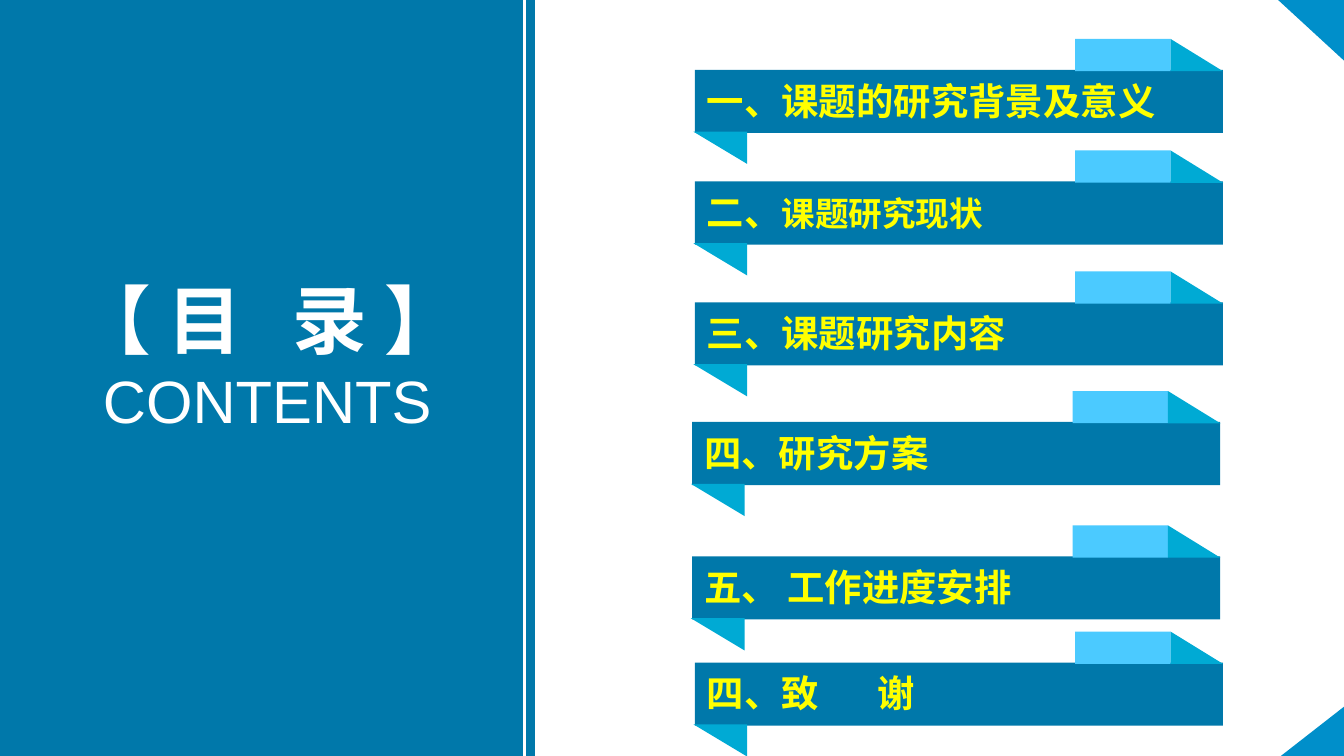
from pptx import Presentation
from pptx.dml.color import RGBColor
from pptx.enum import shapes, text
from pptx.util import Inches, Pt
from lxml import etree

BLUE, SKY, TEAL, CORNER = "0078AA", "4BCAFF", "00AAD4", "008FCA"
WHITE, YELLOW = "FFFFFF", "FFFF00"
RECT, TRIANGLE = shapes.MSO_SHAPE.RECTANGLE, shapes.MSO_SHAPE.RIGHT_TRIANGLE

# Runs are (text, size, extra letter spacing), all in points
HEADING = [("【 目", 40, 0), (" ", 40, 18), ("录 】", 40, 0)]
SUBHEADING = [("CONTENTS", 32, 0)]

# Banners: left, top, runs
BANNERS = [
    (5.17, 0.52, [("一、课题的研究背景及意义", 20, 0)]),
    (5.17, 1.35, [("二、", 20, 0), ("课题研究现状", 18, 0)]),
    (5.17, 2.25, [("三、课题研究内容", 20, 0)]),
    (5.15, 3.14, [("四、研究方案", 20, 0)]),
    (5.15, 4.14, [("五、 工作进度安排", 20, 0)]),
    (5.17, 4.93, [("四、致", 20, 0), (" ", 20, 27), ("谢", 20, 0)]),
]

# Ribbon parts, offset from the banner's corner: kind, dx, dy, w, h, colour, rotation
RIBBON = [
    (RECT, 0, 0, 3.93, 0.47, BLUE, 0),
    (RECT, 2.83, -0.23, 0.71, 0.24, SKY, 0),
    (TRIANGLE, 3.54, -0.23, 0.39, 0.24, TEAL, 0),
    (TRIANGLE, -0.01, 0.46, 0.4, 0.24, TEAL, 180),
]


def rgb(color):
    return RGBColor.from_string(color)


def add_block(parent, kind, x, y, w, h, color, rotation=0):
    sp = parent.add_shape(kind, Inches(x), Inches(y), Inches(w), Inches(h))
    sp.shadow.inherit = False
    sp.fill.solid()
    sp.fill.fore_color.rgb = rgb(color)
    sp.line.fill.background()
    sp.rotation = rotation


def write(p, runs, color, bold, align):
    p.alignment = align
    p.font.name, p.font.bold = "Arial", bold
    p.font.color.rgb = rgb(color)
    for content, size, spacing in runs:
        r = p.add_run()
        r.text = content
        r.font.size = Pt(size)
        if spacing:
            r.font._element.set("spc", str(round(spacing * 100)))


# Widescreen slide, 16:9
prs = Presentation()
prs.slide_width, prs.slide_height = Inches(10), Inches(10 * 9 / 16)
s = prs.slides.add_slide(prs.slide_layouts[5])

# Left panel with its rule
add_block(s.shapes, RECT, 0, -0.02, 3.98, 5.67, BLUE)
rule = s.shapes.add_connector(shapes.MSO_CONNECTOR.STRAIGHT,
                              Inches(3.9), Inches(-0.02), Inches(3.9), Inches(5.65))
rule.line.color.rgb = rgb(WHITE)
rule.line.width = Pt(1.5)
etree.SubElement(rule._element.spPr,
                 "{http://schemas.openxmlformats.org/drawingml/2006/main}effectLst")

# Title, brought in front of the panel
title = s.shapes.title
s.shapes._spTree.append(title._element)
title.left, title.top, title.width, title.height = (Inches(v) for v in (0, 1.99, 3.98, 1.3))
tf = title.text_frame
tf.auto_size, tf.vertical_anchor = text.MSO_AUTO_SIZE.NONE, text.MSO_ANCHOR.TOP
write(tf.paragraphs[0], HEADING, WHITE, True, text.PP_ALIGN.CENTER)
write(tf.add_paragraph(), SUBHEADING, WHITE, False, text.PP_ALIGN.CENTER)

# Corner triangles
add_block(s.shapes, TRIANGLE, 9.51, 0, 0.5, 0.46, CORNER, 180)
add_block(s.shapes, TRIANGLE, 9.56, 5.2, 0.39, 0.5, CORNER, 270)

# Banners
for left, top, runs in BANNERS:
    banner = s.shapes.add_group_shape().shapes
    for kind, dx, dy, w, h, color, rotation in RIBBON:
        add_block(banner, kind, left + dx, top + dy, w, h, color, rotation)
    label = banner.add_textbox(Inches(left - 0.01), Inches(top + 0.01), Inches(3.92), Inches(0.44))
    label.text_frame.word_wrap = True
    write(label.text_frame.paragraphs[0], runs, YELLOW, True, text.PP_ALIGN.LEFT)

prs.save("out.pptx")
